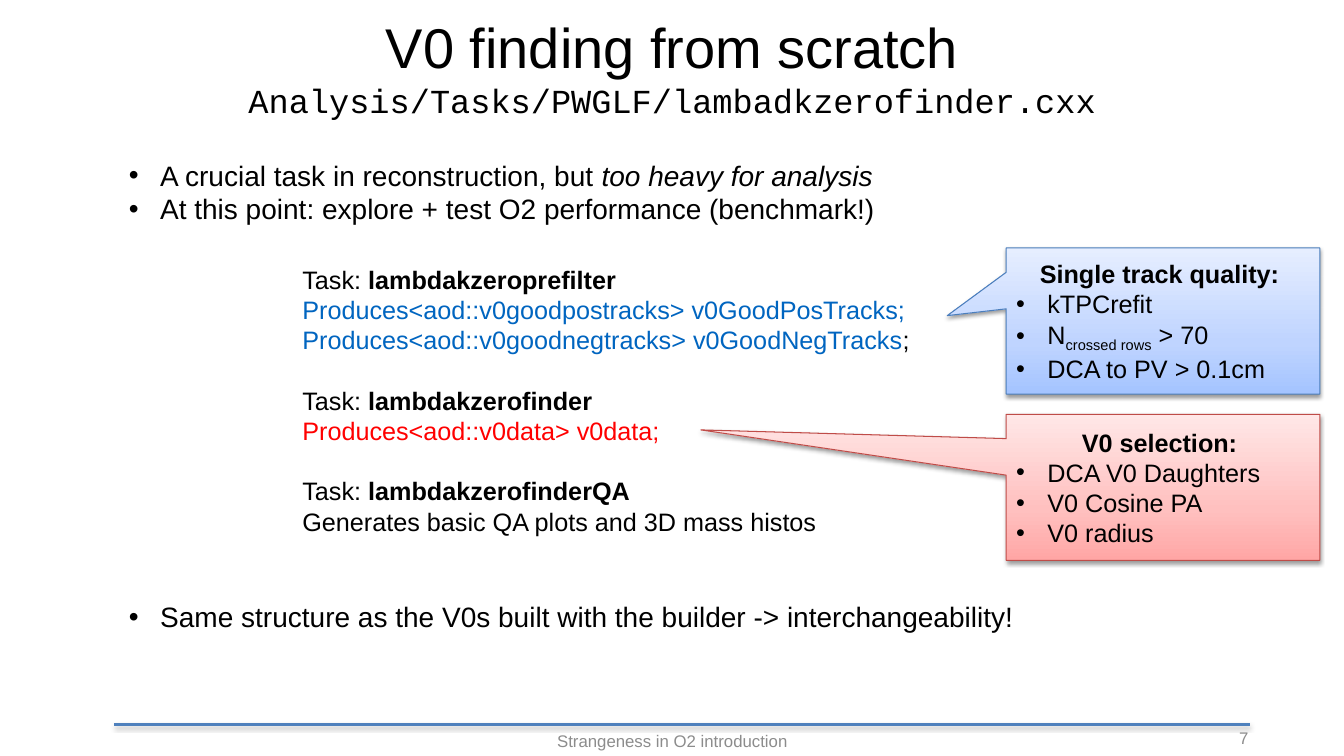
from lxml import etree
from pptx import Presentation, util as u
from pptx.dml.color import RGBColor
from pptx.enum import shapes, text
from pptx.oxml import parse_xml
from pptx.oxml.ns import nsdecls, qn

BLACK, GREY, BLUE, RED = "000000", "8C8C8C", "0065C0", "FF0000"
LEFT, CENTER, RIGHT = text.PP_ALIGN.LEFT, text.PP_ALIGN.CENTER, text.PP_ALIGN.RIGHT
TOP, MIDDLE = text.MSO_ANCHOR.TOP, text.MSO_ANCHOR.MIDDLE
WIDTH, HEIGHT = 13.33, 7.5

# Content: a line is a list of (words, style) runs; styles are "", "b", "i", "sub" or a colour
TITLE = "V0 finding from scratch"
FILE = "Analysis/Tasks/PWGLF/lambadkzerofinder.cxx"
INTRO = [
    [("A crucial task in reconstruction, but ", ""), ("too heavy for analysis", "i")],
    [("At this point: explore + test O2 performance (benchmark!)", "")],
]
TASKS = [
    ("lambdakzeroprefilter", [
        [("Produces<aod::v0goodpostracks> v0GoodPosTracks;", BLUE)],
        [("Produces<aod::v0goodnegtracks> v0GoodNegTracks", BLUE), (";", "")]]),
    ("lambdakzerofinder", [[("Produces<aod::v0data> v0data;", RED)]]),
    ("lambdakzerofinderQA", [[("Generates basic QA plots and 3D mass histos", "")]]),
]
CLOSING = [[("Same structure as the V0s built with the builder -> interchangeability!", "")]]
CALLOUTS = [
    ("Single track quality: ",
     [[("kTPCrefit", "")],
      [("N", ""), ("crossed rows", "sub"), (" > 70", "")],
      [("DCA to PV > 0.1cm", "")]],
     ("A4C4FF", "BFD4FF", "E6EEFF"), "4B7EBC", (-0.688, -0.037)),
    ("V0 selection: ",
     [[("DCA V0 Daughters", "")], [("V0 Cosine PA", "")], [("V0 radius", "")]],
     ("FFA6A5", "FFC0BF", "FFE7E7"), "BF4C48", (-1.474, -0.393)),
]
FOOTER, PAGE = "Strangeness in O2 introduction", "7"

# Layout in inches
BODY_LEFT, BODY_WIDTH = 1.18, 11.81
CALLOUT_LEFT, CALLOUT_TOP, CALLOUT_WIDTH, CALLOUT_HEIGHT = 9.98, 2.46, 3.11, 1.45
CALLOUT_PITCH = 1.65
BULLET_INDENT = 0.31
TASK_GAP = 21.6

presentation = Presentation()
presentation.slide_width, presentation.slide_height = u.Inches(WIDTH), u.Inches(HEIGHT)
slide = presentation.slides.add_slide(presentation.slide_layouts[6])


def color(value):
    return RGBColor.from_string(value)


def inches(*lengths):
    return [u.Inches(length) for length in lengths]


def add_line(frame, runs, size, align=LEFT, bullet=False, font="Arial", ink=BLACK, before=0):
    first = frame.paragraphs[0]
    paragraph = frame.add_paragraph() if first.runs else first
    paragraph.alignment = align
    if before:
        paragraph.space_before = u.Pt(before)
    if bullet:
        properties = paragraph._p.get_or_add_pPr()
        indent = u.Inches(BULLET_INDENT)
        properties.set("marL", str(indent))
        properties.set("indent", str(-indent))
        etree.SubElement(properties, qn("a:buFont")).set("typeface", "Arial")
        etree.SubElement(properties, qn("a:buChar")).set("char", "•")
    paragraph.font.name, paragraph.font.size = font, u.Pt(size)
    for words, style in runs:
        run = paragraph.add_run()
        run.text = words
        run.font.name, run.font.size = font, u.Pt(size)
        run.font.color.rgb = color(style if len(style) == 6 else ink)
        if style == "b":
            run.font.bold = True
        elif style == "i":
            run.font.italic = True
        elif style == "sub":
            run.font._element.set("baseline", "-25000")


def add_text(box, anchor=TOP):
    frame = slide.shapes.add_textbox(*inches(*box)).text_frame
    frame.word_wrap, frame.vertical_anchor = True, anchor
    return frame


def add_shadow(shape):
    properties = shape._element.spPr
    for old in properties.findall(qn("a:effectLst")):
        properties.remove(old)
    properties.append(parse_xml(
        f'<a:effectLst {nsdecls("a")}><a:outerShdw blurRad="{u.Pt(3.1)}" dist="{u.Pt(1.6)}" '
        'dir="5400000" rotWithShape="0"><a:srgbClr val="000000"><a:alpha val="38000"/>'
        '</a:srgbClr></a:outerShdw></a:effectLst>'))


def add_gradient(shape, colors):
    stops = "".join(f'<a:gs pos="{share * 1000}"><a:srgbClr val="{value}"/></a:gs>'
                    for share, value in zip((0, 35, 100), colors))
    geometry = shape._element.spPr.find(qn("a:prstGeom"))
    geometry.addnext(parse_xml(
        f'<a:gradFill {nsdecls("a")} rotWithShape="1"><a:gsLst>{stops}</a:gsLst>'
        '<a:lin ang="16200000" scaled="0"/></a:gradFill>'))


# Footer rule, footer and page number
rule = slide.shapes.add_connector(shapes.MSO_CONNECTOR.STRAIGHT, *inches(1.13, 7.19, 12.4, 7.19))
rule.line.color.rgb, rule.line.width = color("4F81BD"), u.Pt(2)
add_shadow(rule)
add_line(add_text((2.93, 7.15, 7.48, 0.4), MIDDLE), [(FOOTER, "")], 12, CENTER, ink=GREY)
add_line(add_text((9.37, 7.12, 3.11, 0.4), MIDDLE), [(PAGE, "")], 12, RIGHT, ink=GREY)

# Title
title = add_text((0, 0.28, WIDTH, 0.76), MIDDLE)
add_line(title, [(TITLE, "")], 40, CENTER)
add_line(title, [(FILE, "")], 24, CENTER, font="Courier New")

# Bulleted body
for top, height, lines in ((1.52, 0.77, INTRO), (5.9, 0.44, CLOSING)):
    body = add_text((BODY_LEFT, top, BODY_WIDTH, height))
    for runs in lines:
        add_line(body, runs, 20, bullet=True)

# Task list
tasks = add_text((2.9, 2.57, 9.59, 2.83))
for index, (name, lines) in enumerate(TASKS):
    add_line(tasks, [("Task: ", ""), (name, "b")], 18, before=TASK_GAP if index else 0)
    for runs in lines:
        add_line(tasks, runs, 18)

# Callouts
for index, (heading, lines, colors, edge, tip) in enumerate(CALLOUTS):
    callout = slide.shapes.add_shape(
        shapes.MSO_SHAPE.RECTANGULAR_CALLOUT,
        *inches(CALLOUT_LEFT, CALLOUT_TOP + index * CALLOUT_PITCH, CALLOUT_WIDTH, CALLOUT_HEIGHT))
    callout.adjustments[0], callout.adjustments[1] = tip
    callout.line.color.rgb, callout.line.width = color(edge), u.Pt(0.75)
    add_gradient(callout, colors)
    add_shadow(callout)
    frame = callout.text_frame
    frame.word_wrap, frame.vertical_anchor = True, MIDDLE
    add_line(frame, [(heading, "b")], 18, CENTER)
    for runs in lines:
        add_line(frame, runs, 18, bullet=True)

presentation.save("out.pptx")
